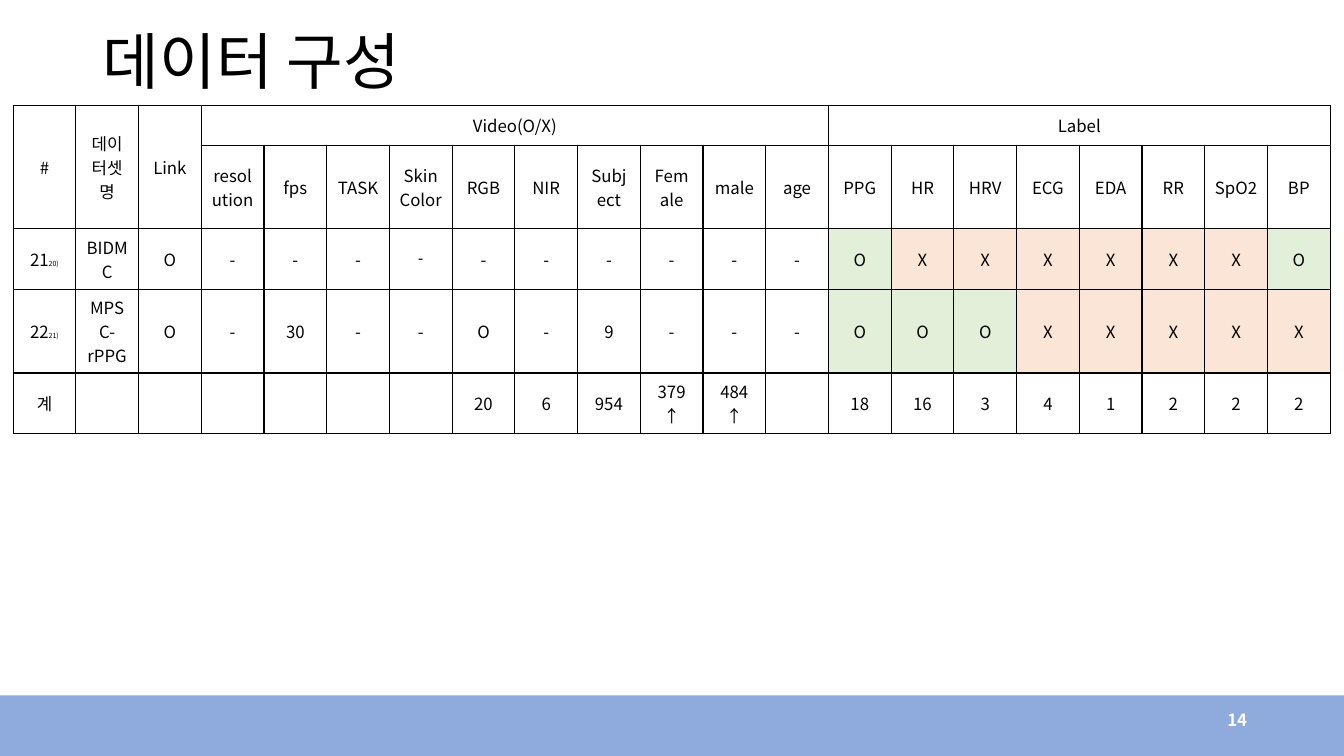
"""Build the data composition slide with its video and label table."""
from itertools import product
from lxml.etree import SubElement as Sub
from pptx import Presentation
from pptx.dml.color import RGBColor as RGB
from pptx.enum.shapes import MSO_SHAPE as Shape
from pptx.enum.text import MSO_ANCHOR as Anchor, MSO_AUTO_SIZE as Fit, PP_ALIGN as Align
from pptx.oxml.ns import qn
from pptx.util import Inches, Pt

TITLE = "데이터 구성"
PAGE = "14"
FACE = "Noto Sans CJK KR"
COLORS = {"ink": "000000", "white": "FFFFFF", "band": "8FAADC", "O": "E2F0D9", "X": "FBE5D6"}
VIDEO = ["resolution", "fps", "TASK", "Skin\nColor", "RGB", "NIR", "Subject", "Female", "male", "age"]
LABEL = ["PPG", "HR", "HRV", "ECG", "EDA", "RR", "SpO2", "BP"]
KEYS = ["#", "데이터셋 명", "Link"]
ROWS = [
    KEYS + ["Video(O/X)"] + [""] * 9 + ["Label"] + [""] * 7,
    [""] * 3 + VIDEO + LABEL,
    ["21", "BIDMC", "O"] + ["-"] * 10 + list("OXXXXXXO"),
    ["22", "MPSC-rPPG", "O", "-", "30", "-", "-", "O", "-", "9", "-", "-", "-"] + list("OOOXXXXX"),
    ["계"] + [""] * 6 + ["20", "6", "954", "379↑", "484↑", "", "18", "16", "3", "4", "1", "2", "2", "2"],
]
NOTES = {(2, 0): "20)", (3, 0): "21)"}
FACES = {(2, 6): "Calibri"}
HEIGHTS = [0.39, 0.83, 0.6, 0.83, 0.6]
MERGES = [(0, c, 1, c) for c in range(3)] + [(0, 3, 0, 12), (0, 13, 0, 20)]
TOTAL = len(ROWS) - 1
START = len(KEYS) + len(VIDEO)


def color(name):
    return RGB.from_string(COLORS[name])


def style(run, size, ink="ink", bold=False, face=FACE):
    form = {"size": Pt(size), "bold": bold, "name": face}
    for key, val in form.items():
        setattr(run.font, key, val)
    run.font.color.rgb = color(ink)
    Sub(run.font._element, qn("a:ea"), typeface=face)


def write(para, text, size, align, **form):
    para.text = text
    para.alignment = align
    for run in para.runs:
        style(run, size, **form)


def label(slide, box, text, size, align, pad, **form):
    frame = slide.shapes.add_textbox(*map(Inches, box)).text_frame
    sides = {f"margin_{side}": Inches(pad) for side in ("left", "right", "top", "bottom")}
    for key, val in {**sides, "word_wrap": True, "vertical_anchor": Anchor.MIDDLE}.items():
        setattr(frame, key, val)
    write(frame.paragraphs[0], text, size, align, **form)
    return frame


def border(cell, row):
    props = cell._tc.get_or_add_tcPr()
    thick = {"lnT": row == TOTAL, "lnB": row == TOTAL - 1}
    for tag in ("lnL", "lnR", "lnT", "lnB"):
        line = Sub(props, qn(f"a:{tag}"), w=str(Pt(1.5 if thick.get(tag) else 1)))
        Sub(Sub(line, qn("a:solidFill")), qn("a:srgbClr"), val=COLORS["ink"])


def paint(cell, row, col, text):
    if row > 1 and col >= START:
        cell.fill.solid()
        cell.fill.fore_color.rgb = color("white" if row == TOTAL else text)
    else:
        cell.fill.background()


def grid(slide):
    wide = len(ROWS[0])
    box = map(Inches, (0.13, 1.05, 13.07, sum(HEIGHTS)))
    table = slide.shapes.add_table(len(ROWS), wide, *box).table
    table.first_row = table.horz_banding = False
    for col in table.columns:
        col.width = Inches(13.07 / wide)
    for row, high in zip(table.rows, HEIGHTS):
        row.height = Inches(high)
    for r, c in product(range(len(ROWS)), range(wide)):
        cell, text = table.cell(r, c), ROWS[r][c]
        cell.vertical_anchor = Anchor.MIDDLE
        border(cell, r)
        paint(cell, r, c, text)
        para = cell.text_frame.paragraphs[0]
        write(para, text, 12, Align.CENTER, face=FACES.get((r, c), FACE))
        if (r, c) in NOTES:
            note = para.add_run()
            note.text = NOTES[r, c]
            style(note, 5)
    for top, left, low, right in MERGES:
        table.cell(top, left).merge(table.cell(low, right))


def main():
    deck = Presentation()
    deck.slide_width, deck.slide_height = Inches(13.33), Inches(7.5)
    slide = deck.slides.add_slide(deck.slide_layouts[6])
    band = slide.shapes.add_shape(Shape.RECTANGLE, *map(Inches, (0, 6.9, 13.33, 0.6)))
    band.shadow.inherit = False
    band.fill.solid()
    band.fill.fore_color.rgb = color("band")
    band.line.fill.background()
    head = label(slide, (0.92, 0.2, 11.5, 0.88), TITLE, 44, Align.LEFT, 0.1)
    head.paragraphs[0].line_spacing = 0.9
    grid(slide)
    page = label(slide, (12.12, 7, 0.3, 0.29), PAGE, 12, Align.RIGHT, 0.05, ink="white", bold=True)
    page.word_wrap = False
    page.auto_size = Fit.SHAPE_TO_FIT_TEXT
    deck.save("out.pptx")


if __name__ == "__main__":
    main()
